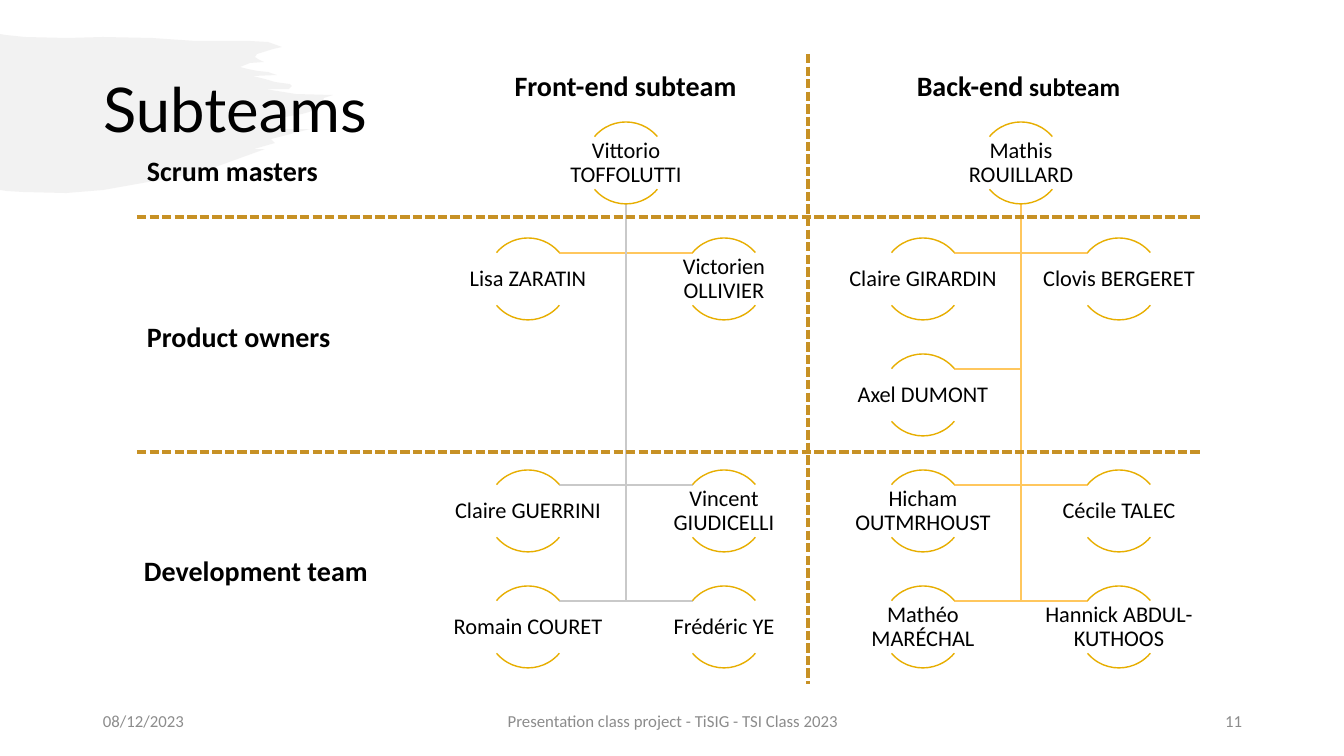
from lxml import etree
from pptx import Presentation
from pptx.dml.color import RGBColor
from pptx.enum.dml import MSO_LINE
from pptx.enum.shapes import MSO_CONNECTOR, MSO_SHAPE
from pptx.enum.text import MSO_ANCHOR, PP_ALIGN
from pptx.oxml.ns import qn
from pptx.util import Pt

TITLE = "Subteams"
# Each subteam: trunk x, colour of the developers' branches,
# then its people as (name, row, side); side 0 is the scrum master.
SUBTEAMS = [
    (626, "grey_branch", [
        ("Vittorio TOFFOLUTTI", 0, 0),
        ("Lisa ZARATIN", 1, -1), ("Victorien OLLIVIER", 1, 1),
        ("Claire GUERRINI", 3, -1), ("Vincent GIUDICELLI", 3, 1),
        ("Romain COURET", 4, -1), ("Frédéric YE", 4, 1)]),
    (1021, "branch", [
        ("Mathis ROUILLARD", 0, 0),
        ("Claire GIRARDIN", 1, -1), ("Clovis BERGERET", 1, 1),
        ("Axel DUMONT", 2, -1),
        ("Hicham OUTMRHOUST", 3, -1), ("Cécile TALEC", 3, 1),
        ("Mathéo MARÉCHAL", 4, -1), ("Hannick ABDUL-KUTHOOS", 4, 1)]),
]
# Headings: left, top, width, alignment, runs as (text, size)
HEADINGS = [
    (137, 315, 211, PP_ALIGN.LEFT, [("Product owners", 20)]),
    (134, 549, 258, PP_ALIGN.LEFT, [("Development team", 20)]),
    (137, 149, 258, PP_ALIGN.LEFT, [("Scrum masters", 20)]),
    (498, 64, 255, PP_ALIGN.CENTER, [("Front-end subteam", 20)]),
    (891, 64, 255, PP_ALIGN.CENTER, [("Back-end", 20), (" subteam", 18)]),
]
FOOTERS = [
    (93, 302, PP_ALIGN.LEFT, "08/12/2023"),
    (446, 454, PP_ALIGN.CENTER,
     "Presentation class project - TiSIG - TSI Class 2023"),
    (950, 302, PP_ALIGN.RIGHT, "11"),
]
DIVIDERS = [(137, 217, 1201, 217), (808, 54, 808, 684), (137, 452, 1201, 452)]
BRUSH = [
    (0, 34), (6, 35), (25, 37), (67, 38), (103, 37), (152, 38), (196, 41),
    (250, 41), (268, 42), (282, 47), (273, 49), (257, 54), (255, 57),
    (258, 59), (264, 62), (250, 63), (240, 67), (248, 69), (258, 71),
    (268, 72), (277, 75), (253, 76), (265, 79), (275, 82), (282, 83),
    (290, 84), (292, 86), (289, 89), (286, 89), (265, 89), (296, 94),
    (333, 95), (324, 98), (321, 107), (309, 112), (302, 114), (285, 117),
    (282, 121), (280, 126), (276, 129), (310, 129), (271, 139), (275, 143),
    (254, 149), (265, 149), (199, 173), (103, 190), (66, 193), (23, 192),
    (7, 191), (0, 190)]
COLOURS = {"brush": "E7E6E6", "text": "000000", "branch": "FFC75E",
           "grey_branch": "C9C9C9", "arc": "E7AE00", "divider": "C79125",
           "footer": "8C8C8C"}

PX = 914400 / 100.8
CIRCLE = 82                   # diameter of the circle around a name
FIRST_ROW, ROW_STEP = 122, 116
SIDE_STEP = 98                # trunk to the centre of a side name
BRANCH_LENGTH = 67
NAME_WIDTH, NAME_HEIGHT, NAME_DROP = 163, 52, 15
ARCS = [(132, 192), (24, 84)]  # top and bottom of the circle


def px(*lengths):
    return [round(length * PX) for length in lengths]


def colour(name):
    return RGBColor.from_string(COLOURS[name])


def set_line(shape, name, width):
    shape.line.color.rgb = colour(name)
    shape.line.width = Pt(width)


def add_outline(points, close):
    builder = slide.shapes.build_freeform(*points[0], scale=PX)
    builder.add_line_segments(points[1:], close=close)
    shape = builder.convert_to_shape()
    shape.shadow.inherit = False
    return shape


def add_text(box, runs, align, name="text", bold=False, anchor=MSO_ANCHOR.MIDDLE):
    """Add a one-paragraph text box; runs are (text, size) pairs."""
    frame = slide.shapes.add_textbox(*px(*box)).text_frame
    frame.word_wrap = True
    frame.vertical_anchor = anchor
    paragraph = frame.paragraphs[0]
    paragraph.alignment = align
    paragraph.font.name = "Calibri"
    paragraph.font.bold = bold
    paragraph.font.color.rgb = colour(name)
    for text, size in runs:
        run = paragraph.add_run()
        run.text = text
        run.font.size = Pt(size)
    return frame


def row_top(row):
    return FIRST_ROW + ROW_STEP * row


def add_branch(trunk, row, side, name):
    y = row_top(row) + NAME_DROP
    points = [(trunk, FIRST_ROW + CIRCLE), (trunk, y),
              (trunk + side * BRANCH_LENGTH, y)]
    branch = add_outline(points, close=False)
    branch.fill.background()
    set_line(branch, name, 1)


def add_person(text, centre, top):
    for angles in ARCS:
        arc = slide.shapes.add_shape(
            MSO_SHAPE.ARC, *px(centre - CIRCLE / 2, top, CIRCLE, CIRCLE))
        arc.adjustments[0], arc.adjustments[1] = angles
        arc.shadow.inherit = False
        arc.fill.background()
        set_line(arc, "arc", 1)
    box = (centre - NAME_WIDTH / 2, top + NAME_DROP, NAME_WIDTH, NAME_HEIGHT)
    frame = add_text(box, [(text, 16)], PP_ALIGN.CENTER)
    frame.margin_left = frame.margin_right = px(1)[0]
    frame.margin_top = frame.margin_bottom = px(1)[0]
    frame.paragraphs[0].line_spacing = 0.9


presentation = Presentation()
presentation.slide_width, presentation.slide_height = px(1344, 756)
slide = presentation.slides.add_slide(presentation.slide_layouts[5])

title = slide.shapes.title
title.left, title.top, title.width, title.height = px(93, 40, 1159, 146)
title.text_frame.text = TITLE
title.text_frame.vertical_anchor = MSO_ANCHOR.MIDDLE
heading = title.text_frame.paragraphs[0]
heading.alignment = PP_ALIGN.LEFT
heading.line_spacing = 0.9
heading.font.name = "Lato"
heading.font.size = Pt(44)
heading.font.color.rgb = colour("text")

brush = add_outline(BRUSH, close=True)
brush.fill.solid()
brush.fill.fore_color.rgb = colour("brush")
brush.line.fill.background()
brush_colour = brush._element.spPr.find(".//" + qn("a:srgbClr"))
etree.SubElement(brush_colour, qn("a:alpha"), val="50000")
title._element.addprevious(brush._element)

for trunk, developer_branch, people in SUBTEAMS:
    for text, row, side in people:
        if side:
            add_branch(trunk, row, side, developer_branch if row > 2 else "branch")
    for text, row, side in people:
        add_person(text, trunk + side * SIDE_STEP, row_top(row))

for ends in DIVIDERS:
    divider = slide.shapes.add_connector(MSO_CONNECTOR.STRAIGHT, *px(*ends))
    set_line(divider, "divider", 2.25)
    divider.line.dash_style = MSO_LINE.SQUARE_DOT
    etree.SubElement(divider._element.spPr, qn("a:effectLst"))

for left, top, width, align, runs in HEADINGS:
    add_text((left, top, width, 44), runs, align, bold=True, anchor=MSO_ANCHOR.TOP)

for left, width, align, text in FOOTERS:
    add_text((left, 701, width, 40), [(text, 12)], align, "footer")

presentation.save("out.pptx")
